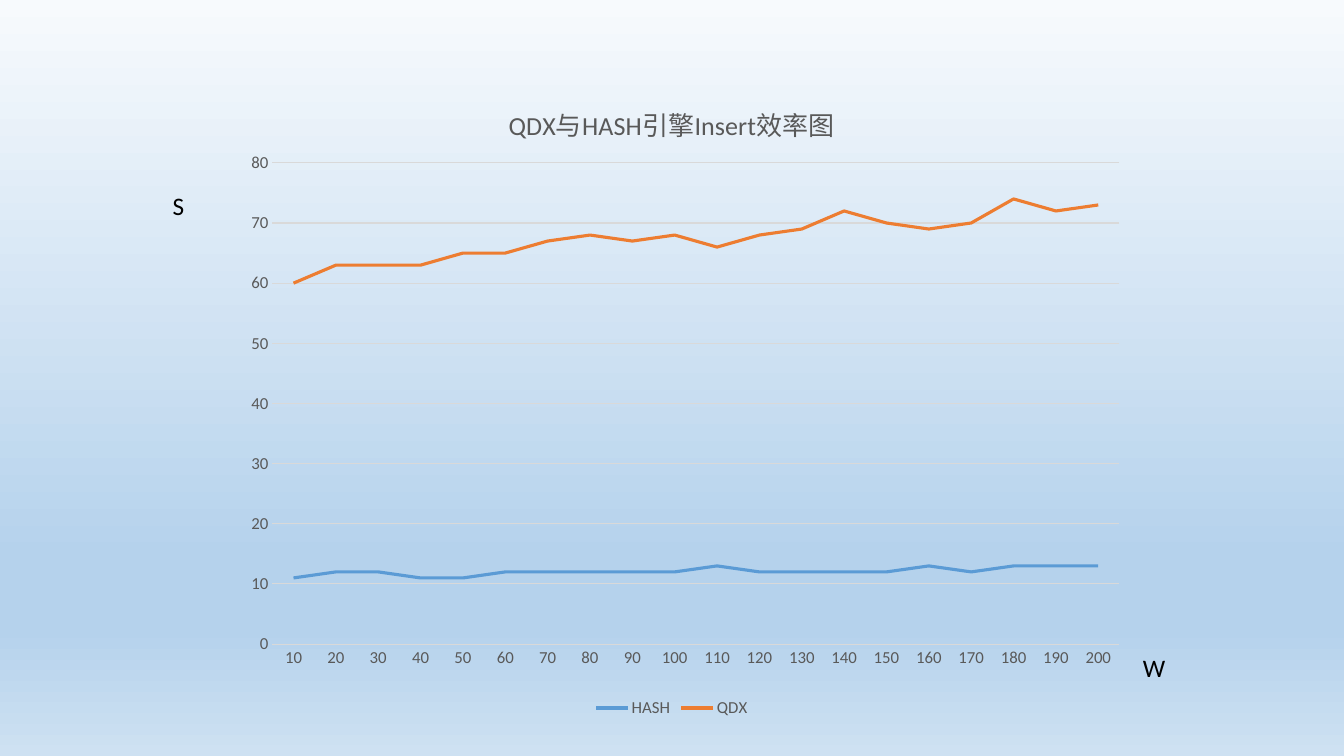
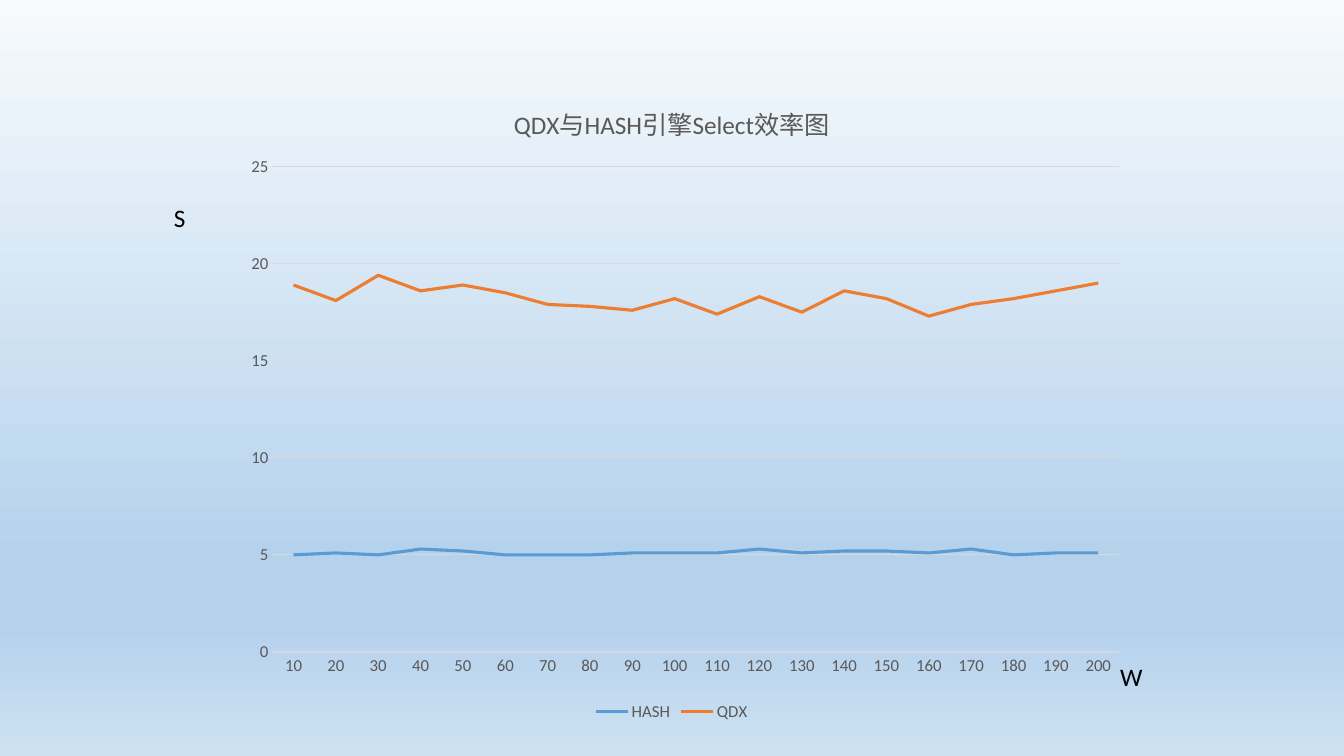
from copy import deepcopy

from lxml.etree import SubElement
from pptx import Presentation
from pptx.chart.data import CategoryChartData
from pptx.dml.color import RGBColor
from pptx.enum.chart import XL_CHART_TYPE as ChartType
from pptx.enum.chart import XL_LEGEND_POSITION as LegendPosition
from pptx.enum.chart import XL_TICK_MARK as TickMark
from pptx.enum.text import MSO_AUTO_SIZE as AutoSize
from pptx.oxml.ns import qn
from pptx.util import Inches, Pt

# Shared style
WIDTH, HEIGHT = Inches(13.33), Inches(7.5)
FONT = "Calibri"
COLOURS = {
    "text": "000000",
    "chart_text": "595959",
    "grid": "D9D9D9",
    "HASH": "5B9BD5",
    "QDX": "ED7D31",
}
BACKGROUND_STOPS = [(0, "F7FAFD"), (0.74, "B5D2EC"), (0.83, "B5D2EC"), (1, "CEE1F2")]
ROW_COUNTS = [str(count) for count in range(10, 201, 10)]

# Places are shares of the slide; plot areas are shares of the chart
SLIDES = [
    {
        "title": "QDX与HASH引擎Insert效率图",
        "title_size": 18.6,
        "place": (1 / 6, 0.105, 2 / 3, 0.85),
        "plot": (0.054, 0.13, 0.946, 0.749),
        "scale": (80, 10),
        "series": {
            "HASH": [11, 12, 12, 11, 11, 12, 12, 12, 12, 12,
                     13, 12, 12, 12, 12, 13, 12, 13, 13, 13],
            "QDX": [60, 63, 63, 63, 65, 65, 67, 68, 67, 68,
                    66, 68, 69, 72, 70, 69, 70, 74, 72, 73],
        },
        "units": {"S": (0.121, 0.245, 0.024, 0.053), "W": (0.843, 0.856, 0.032, 0.053)},
    },
    {
        "title": "QDX与HASH引擎Select效率图",
        "title_size": 18,
        "place": (1 / 6, 0.105, 2 / 3, 0.855),
        "plot": (0.054, 0.135, 0.946, 0.751),
        "scale": (25, 5),
        "series": {
            "HASH": [5, 5.1, 5, 5.3, 5.2, 5, 5, 5, 5.1, 5.1,
                     5.1, 5.3, 5.1, 5.2, 5.2, 5.1, 5.3, 5, 5.1, 5.1],
            "QDX": [18.9, 18.1, 19.4, 18.6, 18.9, 18.5, 17.9, 17.8, 17.6, 18.2,
                    17.4, 18.3, 17.5, 18.6, 18.2, 17.3, 17.9, 18.2, 18.6, 19],
        },
        "units": {"S": (0.122, 0.261, 0.024, 0.053), "W": (0.826, 0.868, 0.032, 0.053)},
    },
]


def colour(name):
    return RGBColor.from_string(COLOURS[name])


def to_lengths(place):
    left, top, width, height = place
    return (round(left * WIDTH), round(top * HEIGHT),
            round(width * WIDTH), round(height * HEIGHT))


def format_font(font, size, ink, bold=False):
    font.name = FONT
    font.size = Pt(size)
    font.bold = bold
    font.color.rgb = colour(ink)


def write_text(frame, text, size=18, ink="text"):
    span = frame.paragraphs[0].add_run()
    span.text = text
    format_font(span.font, size, ink)


def format_line(line, ink, width):
    line.color.rgb = colour(ink)
    line.width = Pt(width)


def set_background(master):
    fill = master.background.fill
    fill.gradient()
    fill.gradient_angle = 270  # counter-clockwise, so the colours run downwards
    stop_list = master.element.find(".//" + qn("a:gsLst"))
    for _ in range(len(BACKGROUND_STOPS) - len(stop_list)):
        stop_list.append(deepcopy(stop_list[0]))
    for stop, (position, ink) in zip(fill.gradient_stops, BACKGROUND_STOPS):
        stop.position = position
        stop.color.rgb = RGBColor.from_string(ink)


def add_unit(slide, text, place):
    box = slide.shapes.add_textbox(*to_lengths(place))
    box.text_frame.word_wrap = False
    box.text_frame.auto_size = AutoSize.SHAPE_TO_FIT_TEXT
    write_text(box.text_frame, text)


def set_plot_area(chart, plot):
    area = chart.element.find(".//" + qn("c:plotArea"))
    for old_layout in area.findall(qn("c:layout")):
        area.remove(old_layout)
    layout = SubElement(area, qn("c:layout"))
    area.insert(0, layout)
    manual = SubElement(layout, qn("c:manualLayout"))
    settings = [("layoutTarget", "inner"), ("xMode", "edge"), ("yMode", "edge")]
    settings += zip("xywh", plot)
    for tag, value in settings:
        SubElement(manual, qn("c:" + tag)).set("val", str(value))


def format_axes(chart, maximum, step):
    categories, values = chart.category_axis, chart.value_axis
    for axis in (categories, values):
        axis.major_tick_mark = axis.minor_tick_mark = TickMark.NONE
        format_font(axis.tick_labels.font, 12, "chart_text")
    format_line(categories.format.line, "grid", 0.75)
    values.format.line.fill.background()
    values.minimum_scale, values.maximum_scale = 0, maximum
    values.major_unit = step
    values.has_major_gridlines = True
    format_line(values.major_gridlines.format.line, "grid", 0.75)


def add_line_chart(slide, content):
    data = CategoryChartData()
    data.categories = ROW_COUNTS
    for name, values in content["series"].items():
        data.add_series(name, values)
    chart = slide.shapes.add_chart(
        ChartType.LINE, *to_lengths(content["place"]), data).chart
    format_font(chart.font, 10, "text")

    # Title and legend
    chart.has_title = True
    chart.chart_title.include_in_layout = False
    write_text(chart.chart_title.text_frame, content["title"],
               size=content["title_size"], ink="chart_text")
    chart.has_legend = True
    chart.legend.position = LegendPosition.BOTTOM
    chart.legend.include_in_layout = False
    format_font(chart.legend.font, 12, "chart_text")

    # Axes and lines
    set_plot_area(chart, content["plot"])
    format_axes(chart, *content["scale"])
    chart.plots[0].vary_by_categories = False
    for series in chart.plots[0].series:
        series.smooth = False
        format_line(series.format.line, series.name, 2.25)


def main():
    deck = Presentation()
    deck.slide_width, deck.slide_height = WIDTH, HEIGHT
    set_background(deck.slide_master)
    blank = deck.slide_layouts.get_by_name("Blank")
    for content in SLIDES:
        slide = deck.slides.add_slide(blank)
        add_line_chart(slide, content)
        for text, place in content["units"].items():
            add_unit(slide, text, place)
    deck.save("out.pptx")


main()
